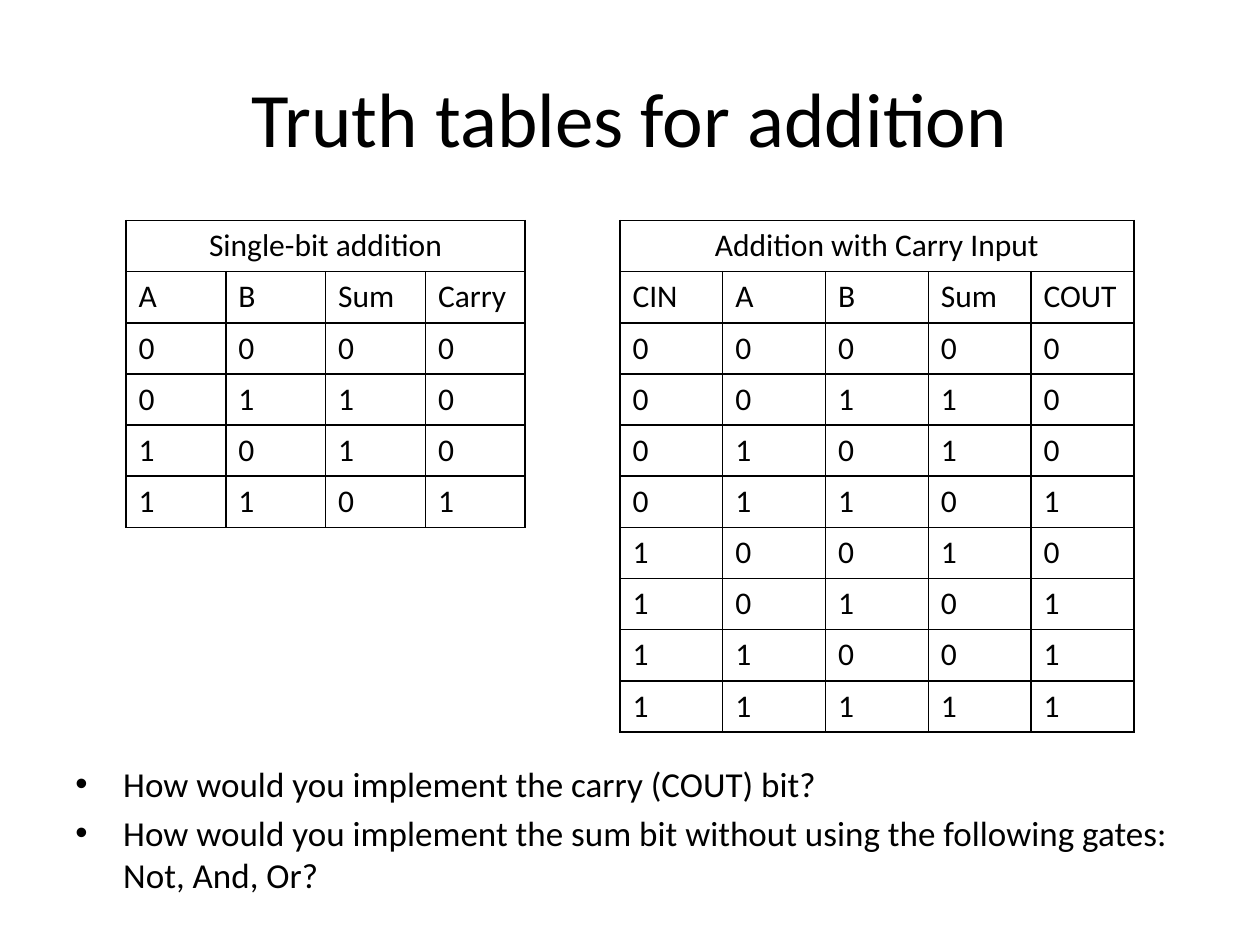
from dataclasses import dataclass
from itertools import product

from lxml import etree
from pptx import Presentation
from pptx import util as u
from pptx.dml.color import RGBColor
from pptx.enum import text as t
from pptx.oxml import ns


@dataclass(frozen=True)
class Theme:
    font: str = "Calibri"
    ink: str = "000000"
    title: int = 44
    body: int = 20
    cell: int = 18
    rule: float = 1


THEME = Theme()


def write(para, words, size, align=t.PP_ALIGN.LEFT, before=0):
    """Put one run of formatted text in a paragraph."""
    para.alignment = align
    para.space_before = u.Pt(before)
    run = para.add_run()
    run.text = words
    font = run.font
    font.name, font.size, font.bold = THEME.font, u.Pt(size), False
    font.color.rgb = RGBColor.from_string(THEME.ink)


def add_box(slide, left, top, width, height, anchor):
    box = slide.shapes.add_textbox(*map(u.Inches, (left, top, width, height)))
    frame = box.text_frame
    frame.word_wrap = True
    frame.vertical_anchor = anchor
    return frame


def bullet(para, indent):
    props = para._p.get_or_add_pPr()
    props.set("marL", str(u.Inches(indent)))
    props.set("indent", str(u.Inches(-indent)))
    font = etree.SubElement(props, ns.qn("a:buFont"))
    font.set("typeface", "Arial")
    mark = etree.SubElement(props, ns.qn("a:buChar"))
    mark.set("char", "•")


def border(cell):
    """Rule all four sides; lines must precede the fill in the XML."""
    props = cell._tc.get_or_add_tcPr()
    for spot, side in enumerate(("lnL", "lnR", "lnT", "lnB")):
        line = etree.Element(ns.qn(f"a:{side}"), w=str(u.Pt(THEME.rule)))
        fill = etree.SubElement(line, ns.qn("a:solidFill"))
        etree.SubElement(fill, ns.qn("a:srgbClr"), val=THEME.ink)
        props.insert(spot, line)


def add_truth(slide, left, width, title, inputs, outputs):
    """Draw a titled truth table for the sum of the input bits."""
    rows = [inputs + outputs]
    for bits in product((0, 1), repeat=len(inputs)):
        carry, total = divmod(sum(bits), 2)
        rows.append([*bits, total, carry])

    high, wide = len(rows) + 1, len(rows[0])
    step = 0.406
    area = map(u.Inches, (left, 1.75, width, step * high))
    table = slide.shapes.add_table(high, wide, *area).table
    table.first_row = table.horz_banding = False
    for row in table.rows:
        row.height = u.Inches(step)
    for col in table.columns:
        col.width = u.Inches(width / wide)

    for cell in table.iter_cells():
        cell.fill.background()
        border(cell)
    head = table.cell(0, 0)
    head.merge(table.cell(0, wide - 1))
    write(head.text_frame.paragraphs[0], title, THEME.cell,
          align=t.PP_ALIGN.CENTER)
    for r, row in enumerate(rows, 1):
        for c, value in enumerate(row):
            para = table.cell(r, c).text_frame.paragraphs[0]
            write(para, str(value), THEME.cell)


def main():
    deck = Presentation()
    deck.slide_width, deck.slide_height = u.Inches(10), u.Inches(7.5)
    slide = deck.slides.add_slide(deck.slide_layouts[6])

    # Title
    frame = add_box(slide, 0.5, 0.3, 9, 1.25, t.MSO_ANCHOR.MIDDLE)
    write(frame.paragraphs[0], "Truth tables for addition", THEME.title,
          align=t.PP_ALIGN.CENTER)

    # Questions
    frame = add_box(slide, 0.5, 6, 9, 1.08, t.MSO_ANCHOR.TOP)
    asks = (
        "How would you implement the carry (COUT) bit?",
        "How would you implement the sum bit without using the following "
        "gates: Not, And, Or?",
    )
    for i, ask in enumerate(asks):
        para = frame.add_paragraph() if i else frame.paragraphs[0]
        write(para, ask, THEME.body, before=4)
        bullet(para, 0.38)

    # Truth tables
    add_truth(slide, 1, 3.17, "Single-bit addition",
              ["A", "B"], ["Sum", "Carry"])
    add_truth(slide, 4.92, 4.08, "Addition with Carry Input",
              ["CIN", "A", "B"], ["Sum", "COUT"])

    deck.save("out.pptx")


if __name__ == "__main__":
    main()
